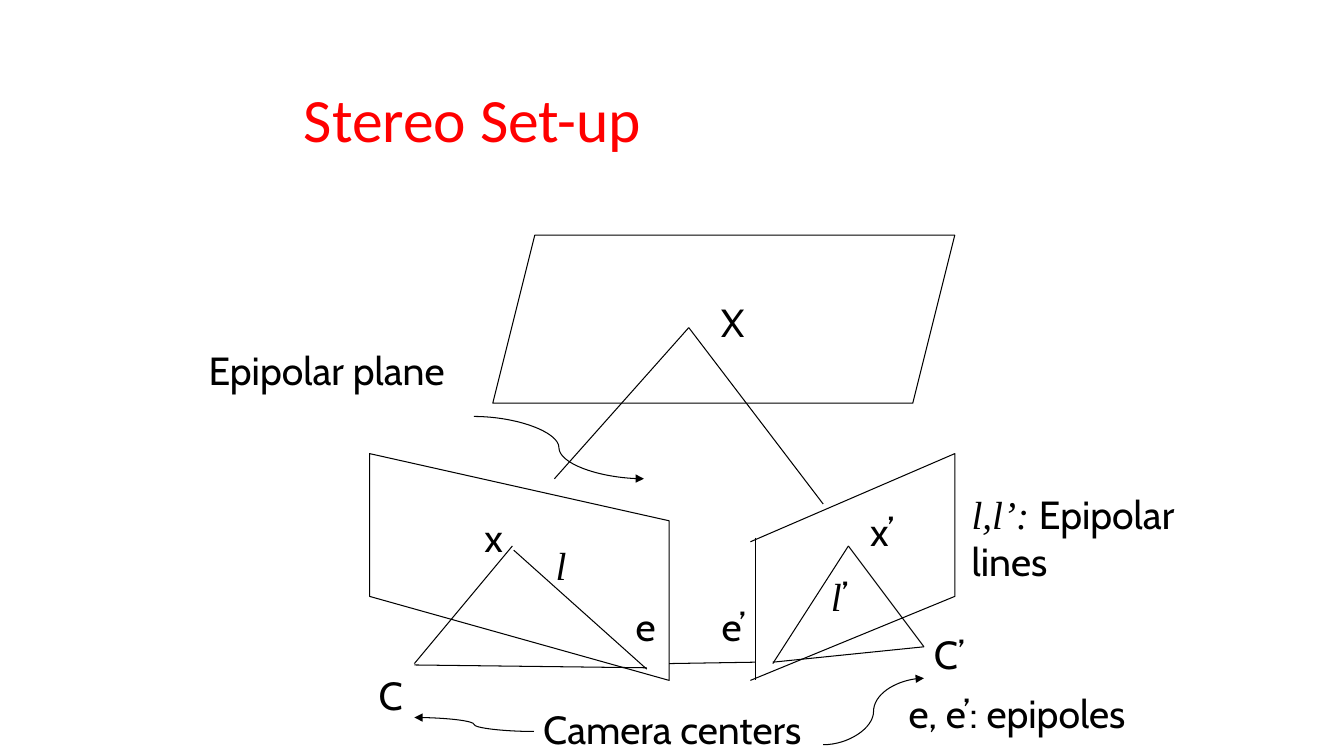
from pptx import Presentation
from pptx import util as u
from pptx.dml.color import RGBColor
from pptx.enum import shapes, text
from pptx.oxml.ns import qn
from lxml import etree

Pt = u.Pt
COLORS = {"title": "FF0000", "ink": "000000"}
CABIN = {"name": "Cabin", "size": Pt(28)}
SERIF = {"name": "Times New Roman", "size": Pt(28), "italic": True}


def add_runs(tf, runs, color):
    for name in ("margin_left", "margin_top", "margin_right", "margin_bottom"):
        setattr(tf, name, 0)
    tf.word_wrap = True
    p = tf.paragraphs[0]
    p.alignment = text.PP_ALIGN.LEFT
    p.space_before = Pt(1)
    for words, fmt in runs:
        r = p.add_run()
        r.text = words
        for key, value in fmt.items():
            setattr(r.font, key, value)
        r.font.color.rgb = RGBColor.from_string(COLORS[color])


def add_line(kind, x1, y1, x2, y2):
    sp = s.shapes.add_connector(kind, Pt(x1), Pt(y1), Pt(x2), Pt(y2))
    sp.line.width = Pt(0.75)
    sp.line.color.rgb = RGBColor.from_string(COLORS["ink"])
    etree.SubElement(sp._element.spPr, qn("a:effectLst"))
    return sp


prs = Presentation()
prs.slide_width, prs.slide_height = Pt(960), Pt(540)
s = prs.slides.add_slide(prs.slide_layouts[5])

# Title
title = s.shapes.title
title.left, title.top, title.width, title.height = Pt(217), Pt(57), Pt(268), Pt(55)
title.text_frame.vertical_anchor = text.MSO_ANCHOR.MIDDLE
add_runs(title.text_frame, [("Stereo Set-up", {"name": "Calibri", "size": Pt(44)})], "title")

# World plane and the two image planes
planes = [s.shapes.add_shape(shapes.MSO_SHAPE.PARALLELOGRAM,
                             Pt(352), Pt(168), Pt(330), Pt(120))]
for corners, closed in [
    ([(264, 324), (478, 372), (478, 486), (264, 426)], True),
    ([(535.5, 387), (682.5, 324), (682.5, 426), (535.5, 486)], False),
]:
    fb = s.shapes.build_freeform(*corners[0], scale=Pt(1))
    fb.add_line_segments(corners[1:], close=closed)
    planes.append(fb.convert_to_shape())
for sp in planes:
    sp.shadow.inherit = False
    sp.fill.background()
    sp.line.width = Pt(0.75)
    sp.line.color.rgb = RGBColor.from_string(COLORS["ink"])

# Rays, epipolar lines and baseline
for ends in [
    (539.5, 384, 539.5, 486),  # inner edge of right plane
    (492, 234, 396, 342),      # X towards C
    (492, 234, 588, 360),      # X towards C’
    (366, 390, 296, 474),      # x to C
    (367, 393, 462, 478),      # l
    (296, 475, 462, 477),      # C to e
    (478, 474, 539.5, 473),    # between the planes
    (606, 390, 660, 462),      # x’ to C’
    (606, 390, 552, 474),      # l’
    (552, 473, 660, 462),      # e’ to C’
]:
    add_line(shapes.MSO_CONNECTOR.STRAIGHT, *ends)

# Curved pointer arrows
for ends in [
    (338.5, 297.5, 460, 342),
    (381.5, 522.5, 296, 512.5),
    (588, 532, 660, 484.5),
]:
    sp = add_line(shapes.MSO_CONNECTOR.CURVE, *ends)
    etree.SubElement(sp.line._get_or_add_ln(), qn("a:tailEnd"), type="triangle")

# Labels: left, top, width, runs
for x, y, w, runs in [
    (149, 247, 190, [("Epipolar plane", CABIN)]),
    (515, 213, 30, [("X", CABIN)]),
    (346, 366.5, 25, [("x", CABIN)]),
    (621.5, 362, 30, [("x’", CABIN)]),
    (397, 386.5, 20, [("l", SERIF)]),
    (593.5, 409, 30, [("l", SERIF), ("’", CABIN)]),
    (454, 430.5, 25, [("e", CABIN)]),
    (515.5, 430.5, 30, [("e’", CABIN)]),
    (270.5, 479.5, 30, [("C", CABIN)]),
    (667, 450.5, 40, [("C’", CABIN)]),
    (388, 503.5, 200, [("Camera centers", CABIN)]),
    (649, 492, 175, [("e, e’: epipoles", CABIN)]),
    (694, 350.5, 155, [("l,l’: ", SERIF), ("Epipolar lines", CABIN)]),
]:
    sp = s.shapes.add_textbox(Pt(x), Pt(y), Pt(w), Pt(35))
    add_runs(sp.text_frame, runs, "ink")

prs.save("out.pptx")
